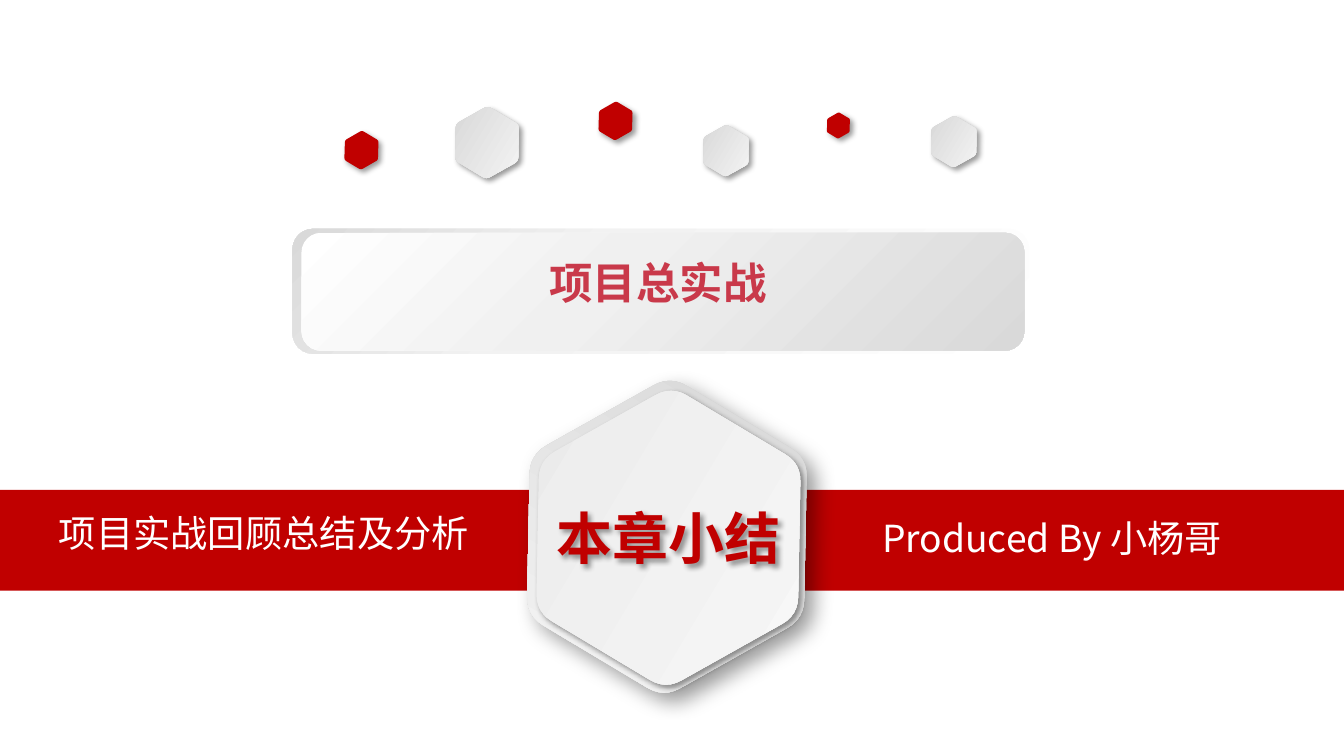
import math
from lxml import etree
from pptx import Presentation
from pptx import util as u
from pptx.dml.color import RGBColor
from pptx.enum import shapes, text
from pptx.oxml.ns import qn

# Content
TITLE = "项目总实战"
LEFT = "项目实战回顾总结及分析"
RIGHT = "Produced By 小杨哥"
HERO = "本章小结"

THEME = dict(
    font="Noto Sans CJK SC", red="C00000", rose="C9394A", white="FFFFFF",
    side=26.6, title=31, hero=40,
    steel=[(0, "D3D3D3"), (100, "F9F9F9")],
    pearl=[(0, "E9E9E9"), (100, "F9F9F9")],
    rim=[(0, "FFFFFF"), (62, "F2F2F2"), (100, "D9D9D9")],
    face=[(0, "FFFFFF"), (42, "F0F0F0"), (100, "D9D9D9")],
)
SOFT, DEEP = (4, 3), (15, 9)  # shadow blur and distance, points
TURN, CUT, STEPS = 30.9, 0.12, 6  # hexagon tilt, corner cut, corner points
GRID = 10000  # outline units per hexagon radius

# Hexagons: box, fill, gradient angle, shadow
DOTS = [
    ((4.48, 1.1, 0.7, 0.63), THEME["steel"], 0, SOFT),
    ((5.92, 1.03, 0.37, 0.34), THEME["red"], 0, SOFT),
    ((3.4, 1.32, 0.37, 0.34), THEME["red"], 0, SOFT),
    ((6.95, 1.27, 0.5, 0.45), THEME["steel"], 0, SOFT),
    ((8.19, 1.13, 0.25, 0.23), THEME["red"], 0, SOFT),
    ((9.21, 1.18, 0.5, 0.45), THEME["steel"], 0, SOFT),
]
BADGE = [
    ((5.08, 3.94, 3.07, 2.77), THEME["steel"], 270, DEEP),
    ((5.18, 4.03, 2.9, 2.61), THEME["pearl"], 0, SOFT),
]
# Title panel: box, fill, gradient angle
PANEL = [
    ((2.9, 2.27, 7.31, 1.24), THEME["rim"], 135),
    ((2.99, 2.31, 7.17, 1.17), THEME["face"], 315),
]

prs = Presentation()
prs.slide_width, prs.slide_height = u.Inches(13.33), u.Inches(7.5)
slide = prs.slides.add_slide(prs.slide_layouts[5])
tree = slide.shapes


def inch(box):
    return [u.Inches(v) for v in box]


def node(up, tag, **attrs):
    return etree.SubElement(up, qn(tag), {k: str(v) for k, v in attrs.items()})


def place(shape, box):
    shape.left, shape.top, shape.width, shape.height = inch(box)


def paint(shape, fill, angle=0):
    """Flat colour, list of gradient stops, or None; never an outline."""
    shape.shadow.inherit = False
    shape.line.fill.background()
    if fill is None:
        shape.fill.background()
    elif isinstance(fill, str):
        shape.fill.solid()
        shape.fill.fore_color.rgb = RGBColor.from_string(fill)
    else:
        shape.fill.gradient()
        shape.fill.gradient_angle = angle
        stops = shape.element.spPr.find(qn("a:gradFill")).find(qn("a:gsLst"))
        for old in list(stops):
            stops.remove(old)
        for pos, color in fill:
            stop = node(stops, "a:gs", pos=pos * 1000)
            node(stop, "a:srgbClr", val=color)


def shade(shape, blur, dist):
    effects = shape.element.spPr.find(qn("a:effectLst"))
    drop = node(effects, "a:outerShdw", blurRad=u.Pt(blur), dist=u.Pt(dist),
                dir=45 * 60000, algn="tl", rotWithShape=0)
    color = node(drop, "a:srgbClr", val="000000")
    node(color, "a:alpha", val=40000)


def block(kind, box, fill, angle=0):
    shape = tree.add_shape(kind, *inch(box))
    paint(shape, fill, angle)
    return shape


def outline():
    """Hexagon on the grid, each corner eased by a quadratic curve."""
    tips = [(GRID * math.cos(k * math.pi / 3), GRID * math.sin(k * math.pi / 3))
            for k in range(6)]
    points = []
    for k, tip in enumerate(tips):
        start, end = [[a + (b - a) * CUT for a, b in zip(tip, near)]
                      for near in (tips[k - 1], tips[(k + 1) % 6])]
        for step in range(STEPS + 1):
            t = step / STEPS
            points.append(tuple(
                round((1 - t) ** 2 * s + 2 * t * (1 - t) * c + t * t * e)
                for s, c, e in zip(start, tip, end)))
    return points


def hexagon(box, fill, angle, drop):
    points = outline()
    pen = tree.build_freeform(*points[0], scale=u.Inches(1) / GRID)
    pen.add_line_segments(points[1:], close=True)
    shape = pen.convert_to_shape()
    place(shape, box)
    shape.rotation = TURN
    paint(shape, fill, angle)
    shade(shape, *drop)


def write(shape, words, size, color, bold=False, center=True, middle=False):
    frame = shape.text_frame
    frame.word_wrap = True
    frame.auto_size = text.MSO_AUTO_SIZE.NONE
    anchor = text.MSO_ANCHOR
    frame.vertical_anchor = anchor.MIDDLE if middle else anchor.TOP
    para = frame.paragraphs[0]
    para.alignment = text.PP_ALIGN.CENTER if center else text.PP_ALIGN.LEFT
    run = para.add_run()
    run.text = words
    font = run.font
    font.size, font.bold, font.name = u.Pt(size), bold, THEME["font"]
    font.color.rgb = RGBColor.from_string(color)
    node(font._element, "a:ea", typeface=THEME["font"])


def label(box, words, center):
    write(tree.add_textbox(*inch(box)), words, THEME["side"],
          THEME["white"], center=center)


# Red band with its two labels
block(shapes.MSO_SHAPE.RECTANGLE, (0, 4.86, 13.33, 1), THEME["red"])
label((-0.05, 5.01, 5.34, 0.55), LEFT, True)
label((8.65, 5.06, 4.67, 0.55), RIGHT, False)

# Scattered hexagons and the central badge
for item in DOTS + BADGE:
    hexagon(*item)

# Title panel, with the title brought in front of it
for box, fill, angle in PANEL:
    block(shapes.MSO_SHAPE.ROUNDED_RECTANGLE, box, fill, angle)
title = tree.title
place(title, (3.04, 2.49, 6.97, 0.62))
write(title, TITLE, THEME["title"], THEME["rose"], bold=True)
title.element.getparent().append(title.element)

# Badge text with a soft shadow
hero = block(shapes.MSO_SHAPE.ROUNDED_RECTANGLE, (5.32, 4.99, 2.62, 0.67), None)
shade(hero, *SOFT)
write(hero, HERO, THEME["hero"], THEME["red"], bold=True, middle=True)

prs.save("out.pptx")
